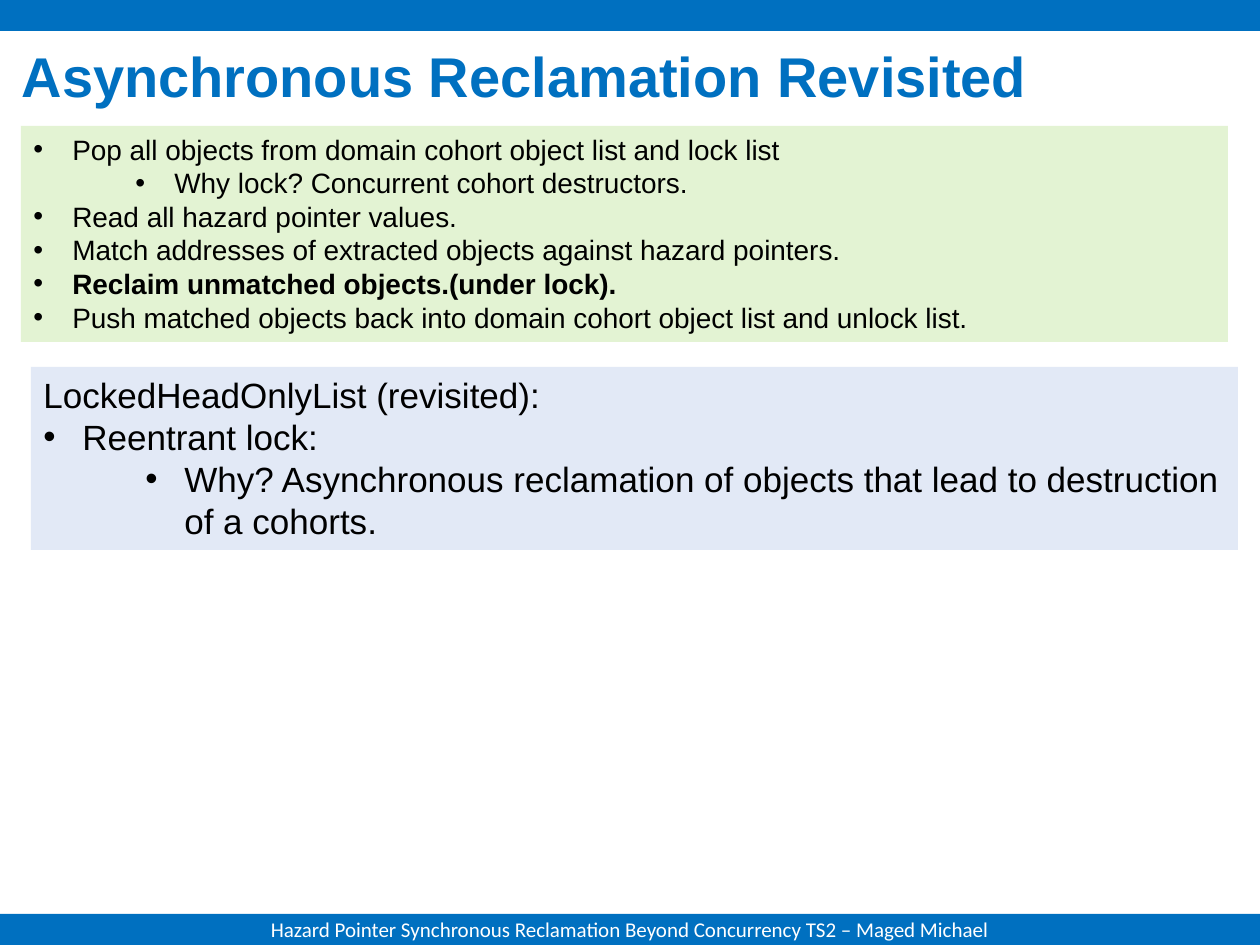
import pptx
import pptx.dml.color
import pptx.enum.shapes
import pptx.enum.text
import pptx.oxml.ns
import pptx.util
from lxml import etree

SCALE = 914400 / 126
COLORS = {"blue": "0070C0", "green": "92D050", "pale": "8FAADC",
          "white": "FFFFFF", "black": "000000"}
ALIGN = pptx.enum.text.PP_ALIGN
ANCHOR = pptx.enum.text.MSO_ANCHOR
FIT = pptx.enum.text.MSO_AUTO_SIZE
INDENT = 39
LEFT = {0: INDENT, 1: 141}


def px(n):
    return pptx.util.Emu(round(n * SCALE))


def rgb(name):
    return pptx.dml.color.RGBColor.from_string(COLORS[name])


def sub(node, tag, **attrs):
    return etree.SubElement(node, pptx.oxml.ns.qn(tag), attrs)


def bullet(para, level):
    """Give the paragraph a round bullet with a hanging indent."""
    para.level = level
    props = para._p.get_or_add_pPr()
    props.set("marL", str(px(LEFT[level])))
    props.set("indent", str(-px(INDENT)))
    sub(props, "a:buFont", typeface="Arial")
    sub(props, "a:buChar", char="•")


def write(para, text, size=16, color="black", font="Arial", bold=False,
          align=ALIGN.LEFT, level=None):
    """Fill a paragraph; a level makes it a bullet."""
    if level is not None:
        bullet(para, level)
    para.alignment = align
    run = para.add_run()
    run.text = text
    run.font.name = font
    run.font.size = pptx.util.Pt(size)
    run.font.bold = bold
    run.font.color.rgb = rgb(color)


class Deck:
    def __init__(self):
        self.prs = pptx.Presentation()
        self.prs.slide_width, self.prs.slide_height = px(1260), px(945)
        self.slide = self.prs.slides.add_slide(self.prs.slide_layouts[5])

    def title(self, text, x, y, w, h):
        shape = self.slide.shapes.title
        shape.left, shape.top, shape.width, shape.height = map(px, (x, y, w, h))
        frame = shape.text_frame
        frame.vertical_anchor = ANCHOR.MIDDLE
        frame.auto_size = FIT.NONE
        para = frame.paragraphs[0]
        para.line_spacing = 0.8
        write(para, text, size=32, color="blue", bold=True)

    def rect(self, x, y, w, h, fill, alpha=100):
        kind = pptx.enum.shapes.MSO_SHAPE.RECTANGLE
        shape = self.slide.shapes.add_shape(kind, *map(px, (x, y, w, h)))
        shape.shadow.inherit = False
        shape.line.fill.background()
        shape.fill.solid()
        shape.fill.fore_color.rgb = rgb(fill)
        if alpha < 100:
            tone = shape._element.spPr.find(".//" + pptx.oxml.ns.qn("a:srgbClr"))
            sub(tone, "a:alpha", val=str(alpha * 1000))
        return shape

    def bar(self, y, text=None):
        shape = self.rect(0, y, 1260, 31, "blue")
        if text:
            frame = shape.text_frame
            frame.vertical_anchor = ANCHOR.MIDDLE
            write(frame.paragraphs[0], text, size=12, color="white",
                  font="Calibri", align=ALIGN.CENTER)

    def panel(self, x, y, h, fill, size, lines):
        """Tinted box of (text, level, bold) lines."""
        frame = self.rect(x, y, 1207, h, fill, alpha=25).text_frame
        frame.word_wrap = True
        frame.vertical_anchor = ANCHOR.TOP
        frame.auto_size = FIT.SHAPE_TO_FIT_TEXT
        for i, (text, level, bold) in enumerate(lines):
            para = frame.add_paragraph() if i else frame.paragraphs[0]
            write(para, text, size=size, level=level, bold=bold)


def main():
    deck = Deck()
    deck.title("Asynchronous Reclamation Revisited", 9, 47, 1241, 69)
    deck.bar(0)
    deck.bar(914, "Hazard Pointer Synchronous Reclamation Beyond Concurrency "
                  "TS2 – Maged Michael")
    deck.panel(21, 126, 216, "green", 16, [
        ("Pop all objects from domain cohort object list and lock list", 0, False),
        ("Why lock? Concurrent cohort destructors.", 1, False),
        ("Read all hazard pointer values.", 0, False),
        ("Match addresses of extracted objects against hazard pointers.", 0, False),
        ("Reclaim unmatched objects.(under lock).", 0, True),
        ("Push matched objects back into domain cohort object list and "
         "unlock list.", 0, False),
    ])
    deck.panel(31, 367, 183, "pale", 20, [
        ("LockedHeadOnlyList (revisited):", None, False),
        ("Reentrant lock:", 0, False),
        ("Why? Asynchronous reclamation of objects that lead to destruction "
         "of a cohorts.", 1, False),
    ])
    deck.prs.save("out.pptx")


if __name__ == "__main__":
    main()
